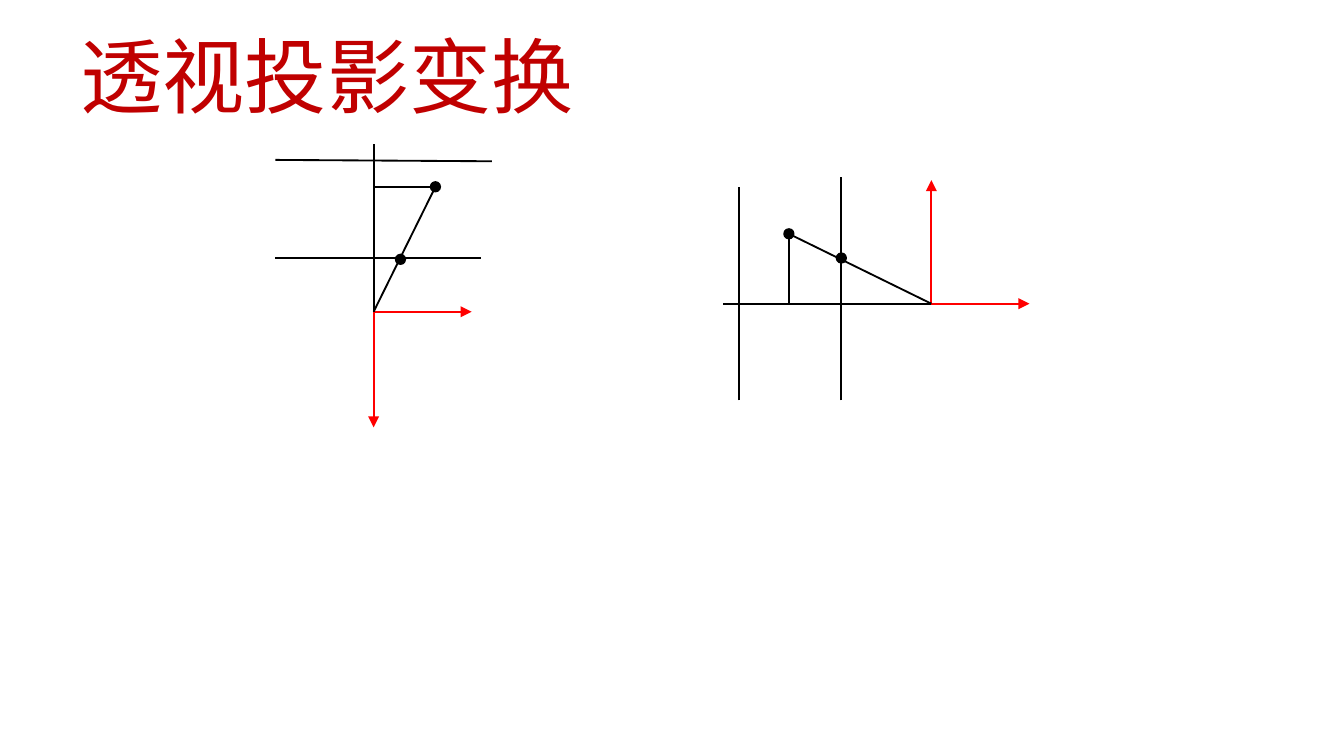
from lxml.etree import SubElement
from pptx import Presentation
from pptx.dml.color import RGBColor
from pptx.enum.shapes import MSO_CONNECTOR, MSO_SHAPE
from pptx.enum.text import MSO_ANCHOR, PP_ALIGN
from pptx.oxml.ns import qn
from pptx.util import Inches, Pt

FONT = "Noto Sans CJK SC"
BLACK, RED, TITLE_RED = "000000", "FF0000", "C00000"
SLIDE_WIDTH = Inches(10)
SLIDE_HEIGHT = SLIDE_WIDTH * 9 // 16
DOT_SIZE = 0.07


def color(hex_string):
    return RGBColor.from_string(hex_string)


def add_title(slide, text):
    title = slide.shapes.title
    title.left, title.top = Inches(0.5), Inches(0.14)
    title.width, title.height = Inches(9), Inches(0.78)
    frame = title.text_frame
    frame.text = text
    frame.word_wrap = True
    frame.vertical_anchor = MSO_ANCHOR.MIDDLE
    frame.margin_bottom = 0
    paragraph = frame.paragraphs[0]
    paragraph.alignment = PP_ALIGN.LEFT
    for font in (paragraph.font, paragraph.runs[0].font):
        font.name, font.size = FONT, Pt(44)
        font.color.rgb = color(TITLE_RED)
    # East Asian glyphs take their own typeface
    properties = paragraph.runs[0].font._element
    SubElement(properties, qn("a:ea"), typeface=FONT)


def add_line(diagram, start, end, hex_string=BLACK):
    line = diagram.shapes.add_connector(
        MSO_CONNECTOR.STRAIGHT, *(Inches(value) for value in (*start, *end)))
    line.line.color.rgb = color(hex_string)
    line.line.width = Pt(1)
    SubElement(line._element.spPr, qn("a:effectLst"))
    return line


def add_axis(diagram, origin, tip):
    axis = add_line(diagram, origin, tip, RED)
    SubElement(axis.line._get_or_add_ln(), qn("a:tailEnd"), type="triangle")


def add_point(diagram, center):
    x, y = (Inches(value - DOT_SIZE / 2) for value in center)
    dot = diagram.shapes.add_shape(
        MSO_SHAPE.OVAL, x, y, Inches(DOT_SIZE), Inches(DOT_SIZE))
    dot.shadow.inherit = False
    dot.fill.solid()
    dot.fill.fore_color.rgb = color(BLACK)
    dot.line.color.rgb = color(BLACK)
    dot.line.width = Pt(1)


def add_projection(slide, eye, axes, lines, points):
    """Draw one view: axes from the eye, then planes and rays, then points."""
    diagram = slide.shapes.add_group_shape()
    for tip in axes:
        add_axis(diagram, eye, tip)
    for start, end in lines:
        add_line(diagram, start, end)
    for center in points:
        add_point(diagram, center)


def main():
    presentation = Presentation()
    presentation.slide_width = SLIDE_WIDTH
    presentation.slide_height = SLIDE_HEIGHT
    slide = presentation.slides.add_slide(presentation.slide_layouts[5])
    add_title(slide, "透视投影变换")

    # View from above
    eye, vertex = (2.78, 2.32), (3.24, 1.39)
    add_projection(
        slide, eye,
        axes=[(3.51, 2.32), (2.78, 3.18)],
        lines=[
            (vertex, eye),                   # projection ray
            ((2.05, 1.92), (3.58, 1.92)),    # near plane
            ((2.05, 1.19), (3.66, 1.2)),     # far plane
            (eye, (2.78, 1.07)),             # viewing direction
            (vertex, (2.78, 1.39)),          # distance to the view axis
        ],
        points=[vertex, (2.98, 1.93)])

    # View from the side
    eye, vertex = (6.93, 2.26), (5.87, 1.74)
    add_projection(
        slide, eye,
        axes=[(7.66, 2.26), (6.93, 1.34)],
        lines=[
            (vertex, eye),                   # projection ray
            ((6.26, 2.98), (6.26, 1.32)),    # near plane
            ((5.5, 2.98), (5.5, 1.39)),      # far plane
            (eye, (5.38, 2.26)),             # viewing direction
            (vertex, (5.87, 2.26)),          # height above the view axis
        ],
        points=[vertex, (6.26, 1.92)])

    presentation.save("out.pptx")


if __name__ == "__main__":
    main()
